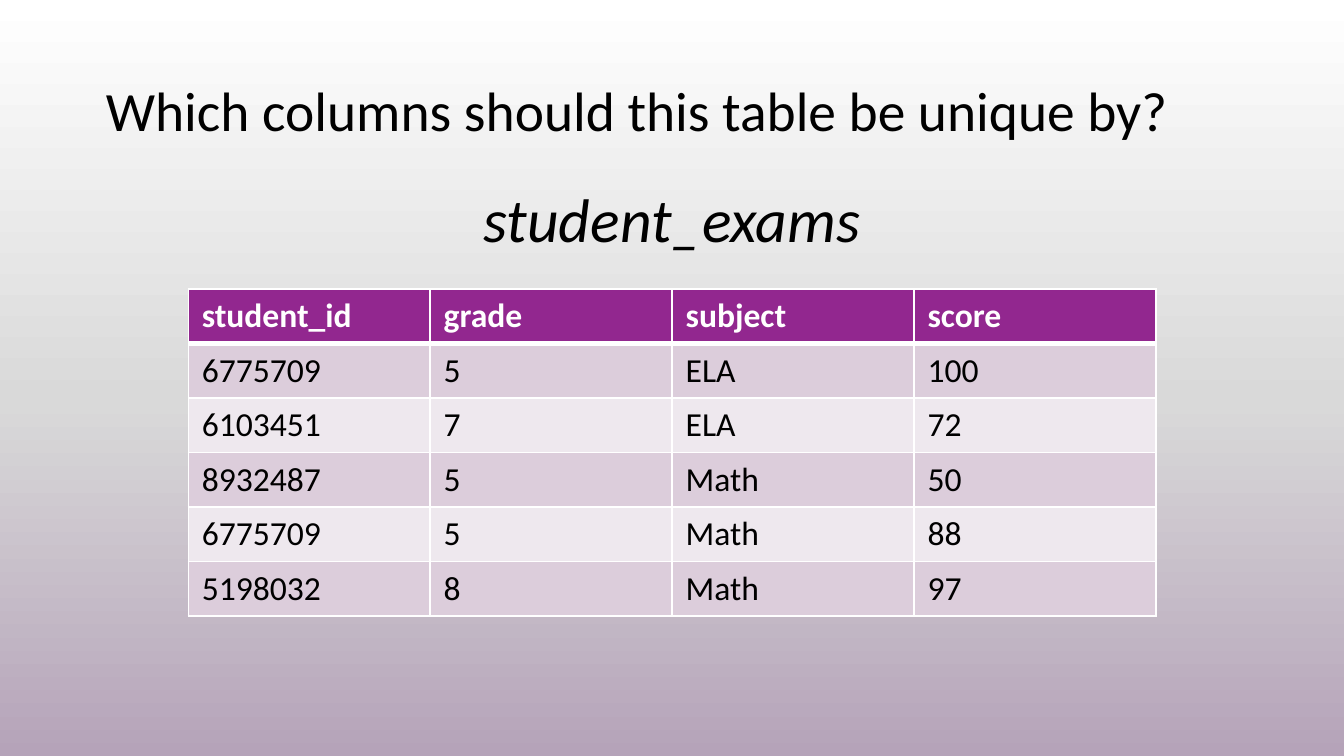
from dataclasses import dataclass

from lxml import etree
from pptx import Presentation
from pptx import util as u
from pptx.dml.color import RGBColor
from pptx.enum import text
from pptx.oxml.ns import qn


@dataclass(frozen=True)
class Theme:
    font: str = "Calibri"
    ink: str = "000000"
    white: str = "FFFFFF"
    header: str = "92278F"
    bands: tuple = ("DCCDDB", "EEE8EE")
    backdrop: tuple = ((0, "FFFFFF"), (53, "D9D9D9"), (100, "B5A3B9"))
    title_size: float = 29.7
    caption_size: float = 33
    table_size: float = 18
    thin: float = 1
    thick: float = 3


class SlideBuilder:
    """Draws styled elements on the current slide."""

    def __init__(self, slide, theme):
        self.slide = slide
        self.theme = theme

    def background(self):
        fill = self.slide.background.fill
        fill.gradient()
        fill.gradient_angle = 270
        stops = self.slide.element.find(".//" + qn("a:gsLst"))
        for stop in list(stops):
            stops.remove(stop)
        for position, color in self.theme.backdrop:
            stop = etree.SubElement(stops, qn("a:gs"), pos=str(position * 1000))
            etree.SubElement(stop, qn("a:srgbClr"), val=color)

    def run(self, paragraph, words, size, color, bold=False, italic=False):
        run = paragraph.add_run()
        run.text = words
        font = run.font
        font.name = self.theme.font
        font.size = u.Pt(size)
        font.bold = bold
        font.italic = italic
        font.color.rgb = RGBColor.from_string(color)

    def text_box(self, words, box, size, align, spacing=1.0, italic=False):
        shape = self.slide.shapes.add_textbox(*map(u.Cm, box))
        frame = shape.text_frame
        frame.word_wrap = True
        frame.vertical_anchor = text.MSO_ANCHOR.MIDDLE
        paragraph = frame.paragraphs[0]
        paragraph.alignment = align
        paragraph.line_spacing = spacing
        self.run(paragraph, words, size, self.theme.ink, italic=italic)

    def borders(self, cell, top, bottom):
        properties = cell._tc.get_or_add_tcPr()
        thin = self.theme.thin
        for side, width in (("L", thin), ("R", thin), ("T", top), ("B", bottom)):
            line = etree.SubElement(properties, qn(f"a:ln{side}"), w=str(u.Pt(width)))
            fill = etree.SubElement(line, qn("a:solidFill"))
            etree.SubElement(fill, qn("a:srgbClr"), val=self.theme.white)

    def table(self, rows, box):
        theme = self.theme
        shape = self.slide.shapes.add_table(len(rows), len(rows[0]), *map(u.Cm, box))
        for i, values in enumerate(rows):
            header = i == 0
            background = theme.header if header else theme.bands[(i - 1) % 2]
            top = theme.thick if i == 1 else theme.thin
            bottom = theme.thick if header else theme.thin
            for j, value in enumerate(values):
                cell = shape.table.cell(i, j)
                self.borders(cell, top, bottom)
                cell.fill.solid()
                cell.fill.fore_color.rgb = RGBColor.from_string(background)
                self.run(cell.text_frame.paragraphs[0], value, theme.table_size,
                         theme.white if header else theme.ink, bold=header)


def main():
    presentation = Presentation()
    presentation.slide_width = u.Cm(25.4)
    presentation.slide_height = u.Cm(14.29)
    theme = Theme()
    builder = SlideBuilder(presentation.slides.add_slide(presentation.slide_layouts[6]), theme)

    builder.background()
    builder.text_box("Which columns should this table be unique by?", (1.75, 0.76, 21.9, 2.76),
                     theme.title_size, text.PP_ALIGN.LEFT, spacing=0.9)
    exams = [
        ("student_id", "grade", "subject", "score"),
        ("6775709", "5", "ELA", "100"),
        ("6103451", "7", "ELA", "72"),
        ("8932487", "5", "Math", "50"),
        ("6775709", "5", "Math", "88"),
        ("5198032", "8", "Math", "97"),
    ]
    builder.table(exams, (3.56, 5.46, 18.29, 6.18))
    builder.text_box("student_exams", (1.27, 2.92, 22.86, 2.39),
                     theme.caption_size, text.PP_ALIGN.CENTER, italic=True)
    presentation.save("out.pptx")


if __name__ == "__main__":
    main()
